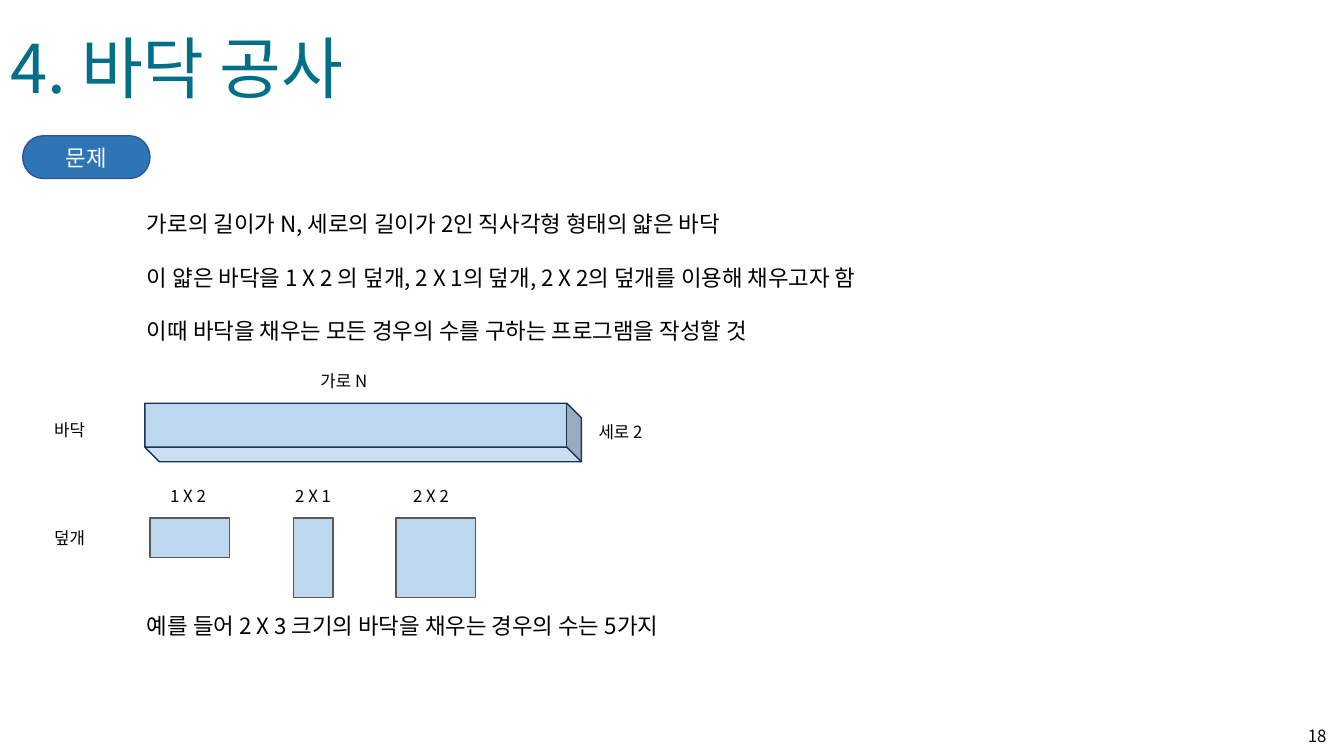
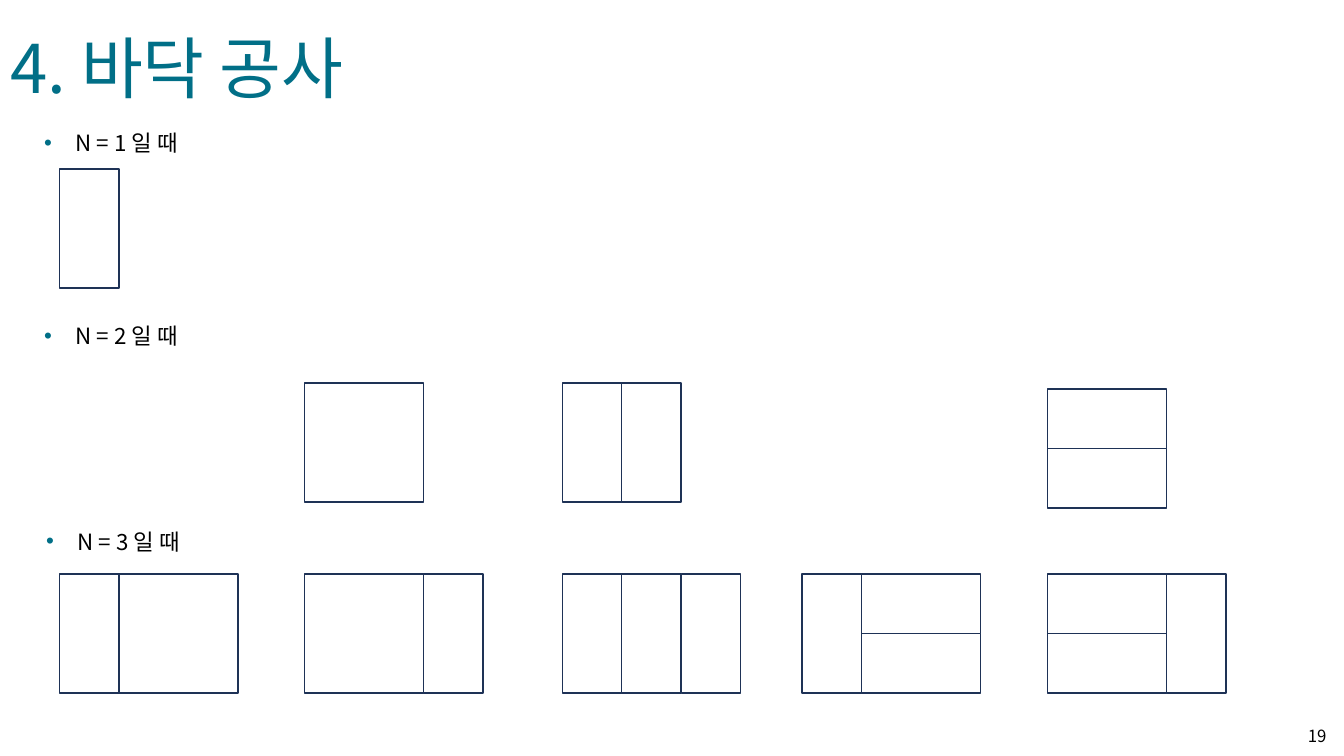
import lxml.etree
import pptx
import pptx.dml.color
import pptx.enum.shapes
import pptx.enum.text
import pptx.oxml.ns
import pptx.util

Pt = pptx.util.Pt
SHAPE = pptx.enum.shapes.MSO_SHAPE
ALIGN = pptx.enum.text.PP_ALIGN
ANCHOR = pptx.enum.text.MSO_ANCHOR
qn = pptx.oxml.ns.qn

FONT = "Noto Sans CJK KR"
COLORS = {"title": "016F87", "text": "000000", "white": "FFFFFF",
          "badge": "2E75B6", "badge line": "325491", "floor": "BDD7EE",
          "cover line": "595959", "outline": "1E3256"}

TITLE = "4. 바닥 공사"
PROBLEM = ["가로의 길이가 N, 세로의 길이가 2인 직사각형 형태의 얇은 바닥",
           "이 얇은 바닥을 1 X 2 의 덮개, 2 X 1의 덮개, 2 X 2의 덮개를 이용해 채우고자 함",
           "이때 바닥을 채우는 모든 경우의 수를 구하는 프로그램을 작성할 것"]
EXAMPLE = ["예를 들어 2 X 3 크기의 바닥을 채우는 경우의 수는 5가지"]
# text, left, top, width
LABELS = [("바닥", 31.7, 296.6, 42), ("덮개", 31.7, 373.7, 42),
          ("가로 N", 221.8, 261.4, 52), ("세로 2", 420.5, 298, 52),
          ("1 X 2", 114.5, 343.4, 45), ("2 X 1", 203.8, 343.4, 45),
          ("2 X 2", 288, 343.4, 52)]
# left, columns, rows
COVERS = [(107.3, 2, 1), (209.5, 1, 2), (283, 2, 2)]
COVER_TOP, COVER_UNIT = 370, 28.4

# Pieces from left to right: V upright, S square, H two lying on each other
PIECES = {"V": (1, 1), "S": (2, 1), "H": (2, 2)}  # columns, layers
COLUMNS = [42.4, 217.5, 401.6, 573, 748.2]
UNIT = 42.5
# heading, its left and top, tilings as (pieces, column, top)
CASES = [
    ("N = 1 일 때", -11.5, 69.8, [("V", 0, 120.8)]),
    ("N = 2 일 때", -11.5, 207.4,
     [("S", 1, 273.6), ("VV", 2, 273.6), ("H", 4, 277.9)]),
    ("N = 3 일 때", -10.1, 354.2,
     [(pieces, column, 409.9) for column, pieces
      in enumerate(["VS", "SV", "VVV", "VH", "HV"])]),
]


def rgb(name):
    return pptx.dml.color.RGBColor.from_string(COLORS[name])


def write(shape, lines, size=16, color="text", align=ALIGN.LEFT,
          anchor=ANCHOR.TOP, wrap=True, spacing=None, indent=(0, 0),
          bullet=False):
    frame = shape.text_frame
    frame.word_wrap = wrap
    frame.auto_size = pptx.enum.text.MSO_AUTO_SIZE.NONE
    frame.vertical_anchor = anchor
    for index, line in enumerate(lines):
        para = frame.add_paragraph() if index else frame.paragraphs[0]
        para.alignment = align
        if spacing:
            para.line_spacing = spacing
        properties = para._p.get_or_add_pPr()
        properties.set("marL", str(Pt(indent[0])))
        properties.set("indent", str(Pt(indent[1])))
        if bullet:
            tint = lxml.etree.SubElement(properties, qn("a:buClr"))
            lxml.etree.SubElement(tint, qn("a:srgbClr"), val=COLORS["title"])
            lxml.etree.SubElement(properties, qn("a:buFont"), typeface="Arial")
            lxml.etree.SubElement(properties, qn("a:buChar"), char="•")
        span = para.add_run()
        span.text = line
        span.font.size = Pt(size)
        span.font.name = FONT
        span.font.color.rgb = rgb(color)
        lxml.etree.SubElement(span.font._element, qn("a:ea"), typeface=FONT)


def add_text(page, lines, left, top, width, height, **style):
    box = page.shapes.add_textbox(Pt(left), Pt(top), Pt(width), Pt(height))
    write(box, lines, **style)


def add_shape(page, kind, left, top, width, height, fill, line):
    shape = page.shapes.add_shape(kind, Pt(left), Pt(top), Pt(width), Pt(height))
    shape.shadow.inherit = False
    shape.fill.solid()
    shape.fill.fore_color.rgb = rgb(fill)
    shape.line.color.rgb = rgb(line)
    shape.line.width = Pt(1)
    return shape


def add_page(deck, number):
    """Add a slide with the shared title and its page number."""
    page = deck.slides.add_slide(deck.slide_layouts[5])
    title = page.shapes.title
    title.left, title.top, title.width, title.height = map(Pt, (0, 15.1, 269.3, 65.5))
    write(title, [TITLE], size=48, color="title", wrap=False)
    add_text(page, [str(number)], 913.7, 511.2, 41, 28.8, size=12,
             align=ALIGN.RIGHT, anchor=ANCHOR.MIDDLE)
    return page


def add_problem(deck):
    page = add_page(deck, 18)
    badge = add_shape(page, SHAPE.FLOWCHART_TERMINATOR, 16.2, 97, 91, 30.5,
                      "badge", "badge line")
    write(badge, ["문제"], color="white", align=ALIGN.CENTER, anchor=ANCHOR.MIDDLE)
    add_text(page, PROBLEM, 61.9, 127.4, 610.6, 125, spacing=2, indent=(36, 0))
    add_text(page, EXAMPLE, 61.9, 434, 610.6, 30, indent=(36, 0))
    floor = add_shape(page, SHAPE.CUBE, 103.5, 288, 311.8, 41.8, "floor", "outline")
    floor.rotation = 180
    floor._element.spPr.find(qn("a:xfrm")).set("flipH", "1")
    for left, columns, rows in COVERS:
        add_shape(page, SHAPE.RECTANGLE, left, COVER_TOP, columns * COVER_UNIT,
                  rows * COVER_UNIT, "floor", "cover line")
    for text, left, top, width in LABELS:
        add_text(page, [text], left, top, width, 21.8, size=12)


def add_tiling(page, pieces, left, top):
    for piece in pieces:
        columns, layers = PIECES[piece]
        height = 2 * UNIT / layers
        for layer in range(layers):
            add_shape(page, SHAPE.RECTANGLE, left, top + layer * height,
                      columns * UNIT, height, "white", "outline")
        left += columns * UNIT


def add_cases(deck):
    page = add_page(deck, 19)
    for heading, left, top, tilings in CASES:
        add_text(page, [heading], left, top, 381.6, 41, spacing=2,
                 indent=(58.5, -22.5), bullet=True)
        for pieces, column, tiling_top in tilings:
            add_tiling(page, pieces, COLUMNS[column], tiling_top)


def main():
    deck = pptx.Presentation()
    deck.slide_width, deck.slide_height = Pt(960), Pt(540)
    add_problem(deck)
    add_cases(deck)
    deck.save("out.pptx")


if __name__ == "__main__":
    main()
